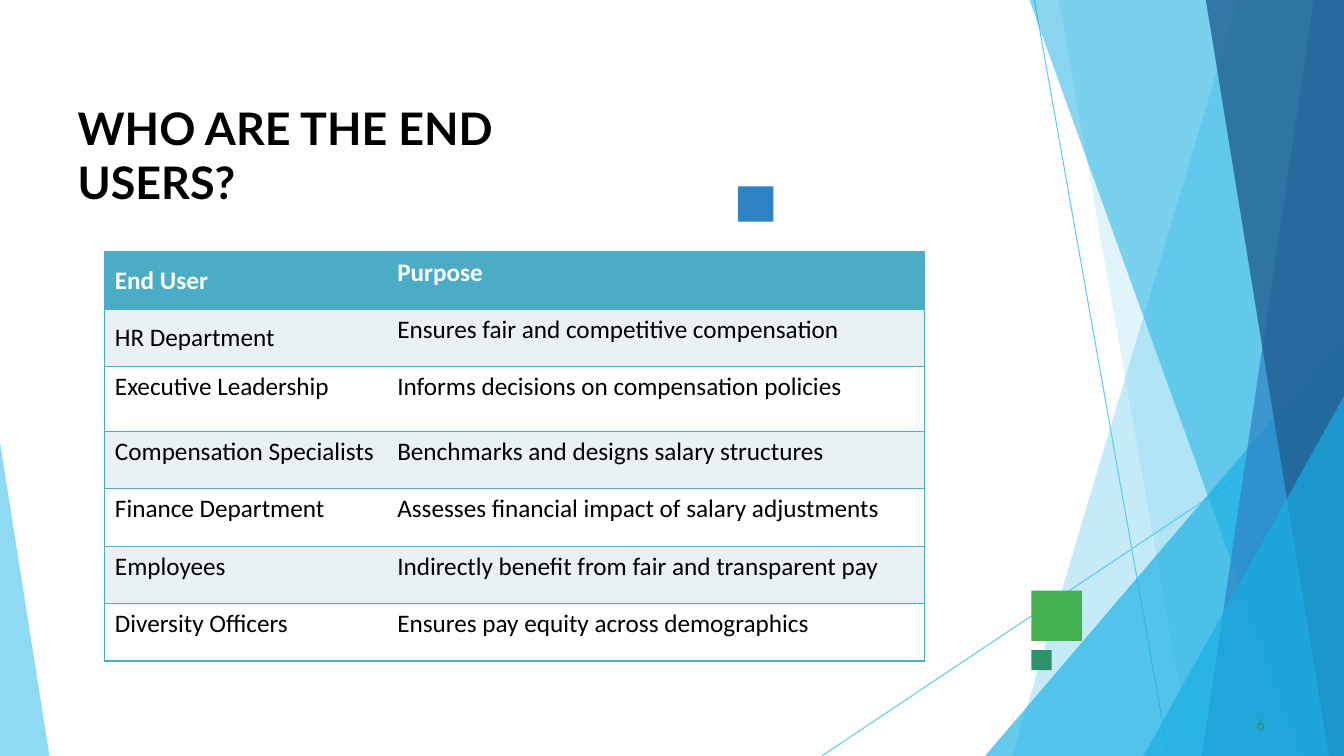
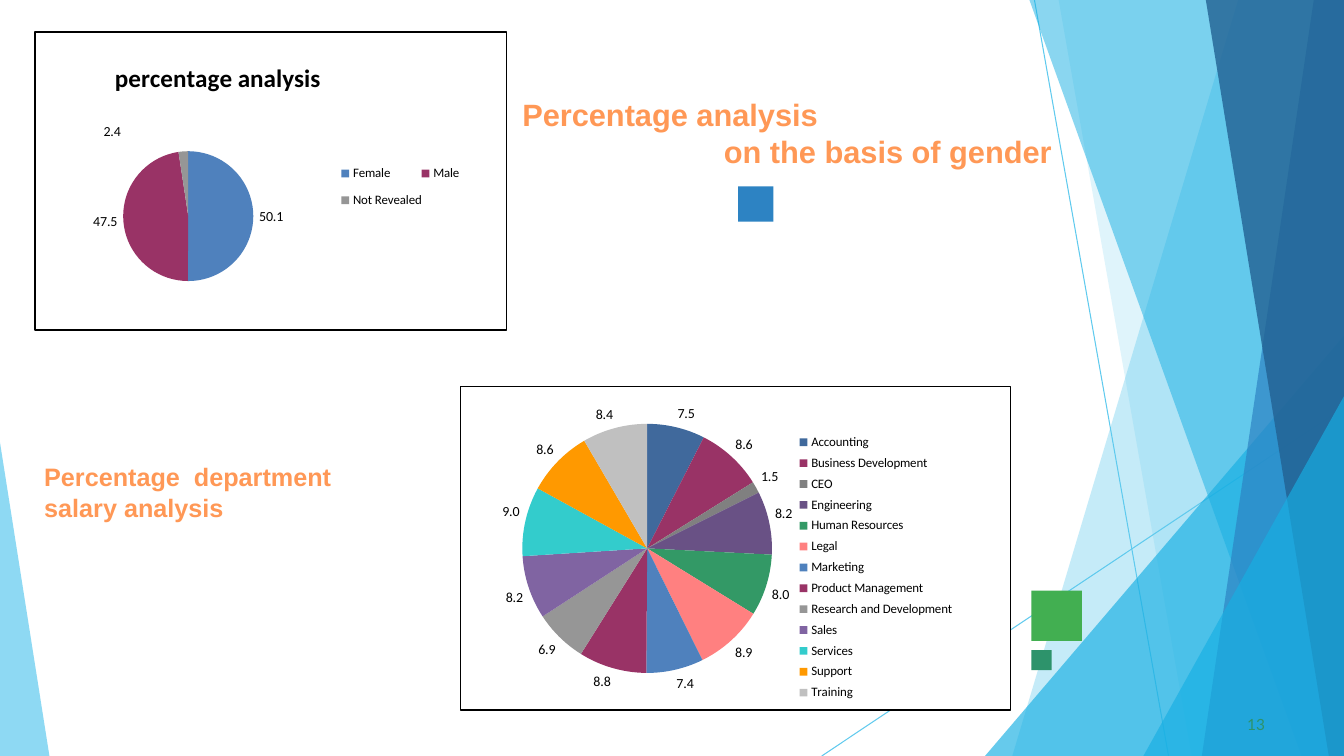
from dataclasses import dataclass
from typing import Optional

from lxml import etree
from pptx import Presentation
from pptx.chart.data import CategoryChartData
from pptx.dml.color import RGBColor
from pptx.enum import chart as ch, shapes, text
from pptx.oxml import parse_xml
from pptx.oxml.ns import nsdecls, qn
from pptx.util import Inches, Pt

WIDTH, HEIGHT = 13.33, 7.5
LATO, ARIAL, CALIBRI = "Lato", "Arial", "Calibri"
NO_STYLE = "{2D5ABB26-0587-4C30-8999-92F81FD0307C}"

BLACK = RGBColor(0x00, 0x00, 0x00)
WHITE = RGBColor(0xFF, 0xFF, 0xFF)
SKY = RGBColor(0x5F, 0xCA, 0xEE)
CYAN = RGBColor(0x17, 0xAF, 0xE3)
BLUE = RGBColor(0x2D, 0x83, 0xC3)
NAVY = RGBColor(0x22, 0x61, 0x92)
GREEN = RGBColor(0x42, 0xAF, 0x51)
SEA = RGBColor(0x2D, 0x93, 0x6B)
ORANGE = RGBColor(0xFF, 0x98, 0x56)
TEAL = RGBColor(0x4B, 0xAC, 0xC6)
BAND = RGBColor(0xE9, 0xF1, 0xF5)
STEEL = RGBColor(0x4F, 0x81, 0xBD)
DARK_STEEL = RGBColor(0x40, 0x69, 0x9C)
PLUM = RGBColor(0x99, 0x33, 0x66)
GREY = RGBColor(0x96, 0x96, 0x96)
DARK_GREY = RGBColor(0x80, 0x80, 0x80)
PURPLE = RGBColor(0x80, 0x64, 0xA2)
DARK_PURPLE = RGBColor(0x69, 0x51, 0x85)
FOREST = RGBColor(0x33, 0x99, 0x66)
CORAL = RGBColor(0xFF, 0x80, 0x80)
TURQUOISE = RGBColor(0x33, 0xCC, 0xCC)
AMBER = RGBColor(0xFF, 0x99, 0x00)
SILVER = RGBColor(0xC0, 0xC0, 0xC0)

Box = tuple[float, float, float, float]
Point = tuple[float, float]


@dataclass(frozen=True)
class Facet:
    color: RGBColor
    opacity: int
    points: tuple[Point, ...]


@dataclass(frozen=True)
class Style:
    font: str
    size: float
    color: RGBColor
    bold: bool = False


@dataclass(frozen=True)
class Slice:
    name: str
    value: float
    color: RGBColor


@dataclass(frozen=True)
class Pie:
    """A pie chart; plot and legend are fractions of the chart area."""
    box: Box
    plot: Box
    legend: Box
    slices: tuple[Slice, ...]
    title: Optional[str] = None
    title_at: Point = (0, 0)


CORNER = (WIDTH, HEIGHT)
TOP_CORNER = (WIDTH, 0)
FACETS = (
    Facet(SKY, 36, (TOP_CORNER, (12.28, 0), (10.04, HEIGHT), CORNER)),
    Facet(SKY, 20, (TOP_CORNER, (10.5, 0), (11.82, HEIGHT), CORNER)),
    Facet(CYAN, 66, ((WIDTH, 3.33), (9.77, HEIGHT), CORNER)),
    Facet(CYAN, 50, (TOP_CORNER, (10.21, 0), (12.91, HEIGHT), CORNER)),
    Facet(BLUE, 70, (TOP_CORNER, (13.03, 0), (11.92, HEIGHT), CORNER)),
    Facet(NAVY, 80, (TOP_CORNER, (11.96, 0), (13.18, HEIGHT), CORNER)),
    Facet(CYAN, 66, ((WIDTH, 3.93), (11.34, HEIGHT), CORNER)),
    Facet(SKY, 70, ((0, 4.39), (0, HEIGHT), (0.49, HEIGHT))),
)
THIN_LINES = (((10.26, 0), (11.59, HEIGHT)), ((WIDTH, 4.04), (8.15, HEIGHT)))
SQUARES = ((10.23, 5.86, 0.5, GREEN), (7.32, 1.85, 0.35, BLUE), (10.23, 6.45, 0.2, SEA))

TITLE = Style(LATO, 32, BLACK, True)
PAGE_NUMBER = Style(LATO, 11, SEA)
CHART_HEADING = Style(ARIAL, 22, ORANGE, True)
SIDE_HEADING = Style(ARIAL, 18, ORANGE, True)

END_USERS = (
    ("End User", "Purpose"),
    ("HR Department", "Ensures fair and competitive compensation"),
    ("Executive Leadership", "Informs decisions on compensation policies"),
    ("Compensation Specialists", "Benchmarks and designs salary structures"),
    ("Finance Department", "Assesses financial impact of salary adjustments"),
    ("Employees", "Indirectly benefit from fair and transparent pay"),
    ("Diversity Officers", "Ensures pay equity across demographics"),
)

GENDER_PIE = Pie(
    (0.34, 0.31, 4.69, 2.97), (0.187, 0.379, 0.276, 0.479), (0.65, 0.41, 0.25, 0.22),
    (Slice("Female", 50.1, STEEL), Slice("Male", 47.5, PLUM),
     Slice("Not Revealed", 2.4, GREY)),
    "percentage analysis", (0.16, 0.08))
DEPARTMENT_PIE = Pie(
    (4.56, 3.83, 5.47, 3.22), (0.108, 0.115, 0.463, 0.771), (0.6, 0.13, 0.31, 0.86),
    (Slice("Accounting", 7.5, DARK_STEEL), Slice("Business Development", 8.6, PLUM),
     Slice("CEO", 1.5, DARK_GREY), Slice("Engineering", 8.2, DARK_PURPLE),
     Slice("Human Resources", 8, FOREST), Slice("Legal", 8.9, CORAL),
     Slice("Marketing", 7.4, STEEL), Slice("Product Management", 8.8, PLUM),
     Slice("Research and Development", 6.9, GREY), Slice("Sales", 8.2, PURPLE),
     Slice("Services", 9, TURQUOISE), Slice("Support", 8.6, AMBER),
     Slice("Training", 8.4, SILVER)))


def paint(sp, color: RGBColor) -> None:
    sp.shadow.inherit = False
    sp.fill.solid()
    sp.fill.fore_color.rgb = color
    sp.line.fill.background()


def add_facet(slide, facet: Facet) -> None:
    points = [(Inches(x), Inches(y)) for x, y in facet.points]
    builder = slide.shapes.build_freeform(*points[0])
    builder.add_line_segments(points[1:], close=True)
    sp = builder.convert_to_shape()
    paint(sp, facet.color)
    clr = sp.element.spPr.find(".//" + qn("a:srgbClr"))
    etree.SubElement(clr, qn("a:alpha")).set("val", str(facet.opacity * 1000))


def add_thin_line(slide, start: Point, end: Point) -> None:
    line = slide.shapes.add_connector(
        shapes.MSO_CONNECTOR.STRAIGHT, *(Inches(v) for v in start + end))
    line.line.color.rgb = SKY
    line.line.width = Pt(0.75)
    etree.SubElement(line.element.spPr, qn("a:effectLst"))


def set_font(font, style: Style) -> None:
    font.name, font.size, font.bold = style.font, Pt(style.size), style.bold
    font.color.rgb = style.color


def add_text(slide, box: Box, style: Style, *lines: str, inset: float = 0,
             indent: float = 0) -> None:
    """Write one paragraph per line; lines after the first are indented."""
    tf = slide.shapes.add_textbox(*(Inches(v) for v in box)).text_frame
    tf.word_wrap = True
    tf.margin_left = tf.margin_right = Inches(inset)
    tf.margin_top = tf.margin_bottom = Inches(inset / 2 or 0.01)
    for i, line in enumerate(lines):
        p = tf.add_paragraph() if i else tf.paragraphs[0]
        p.text = line
        set_font(p.font, style)
        if i and indent:
            p._p.get_or_add_pPr().set("marL", str(Inches(indent)))


def add_base_slide(prs, number: str, number_left: float):
    slide = prs.slides.add_slide(prs.slide_layouts[6])
    for start, end in THIN_LINES:
        add_thin_line(slide, start, end)
    for facet in FACETS:
        add_facet(slide, facet)
    for left, top, side, color in SQUARES:
        sp = slide.shapes.add_shape(
            shapes.MSO_SHAPE.RECTANGLE, *(Inches(v) for v in (left, top, side, side)))
        paint(sp, color)
    add_text(slide, (number_left, 7.08, 0.25, 0.21), PAGE_NUMBER, number)
    return slide


def set_borders(cell, sides: str) -> None:
    """Draw borders on the sides named by the letters L, R, T and B."""
    tc_pr = cell._tc.get_or_add_tcPr()
    for i, side in enumerate(sides):
        tc_pr.insert(i, parse_xml(
            f'<a:ln{side} {nsdecls("a")} w="12700"><a:solidFill>'
            f'<a:srgbClr val="{TEAL}"/></a:solidFill></a:ln{side}>'))


def add_user_table(slide) -> None:
    frame = slide.shapes.add_table(
        len(END_USERS), 2, Inches(1.04), Inches(2.5), Inches(8.13), Inches(4.06))
    frame.element.find(".//" + qn("a:tableStyleId")).text = NO_STYLE
    table = frame.table
    for col, width in zip(table.columns, (2.8, 5.33)):
        col.width = Inches(width)
    for i, row in enumerate(END_USERS):
        table.rows[i].height = Inches(0.64 if i == 2 else 0.57)
        for j, words in enumerate(row):
            cell = table.cell(i, j)
            cell.text = words
            header = i == 0
            set_font(cell.text_frame.paragraphs[0].font,
                     Style(CALIBRI, 18, WHITE if header else BLACK, header))
            if i < 2 and j == 0:
                cell.vertical_anchor = text.MSO_ANCHOR.MIDDLE
            cell.fill.solid()
            cell.fill.fore_color.rgb = TEAL if header else BAND if i % 2 else WHITE
            set_borders(cell, "RTB" if j else "LTB")


def set_layout(parent, index: int, values: tuple[float, ...], inner: bool = False,
               edge: bool = True) -> None:
    """Place a chart part by fractions of the chart: x, y and perhaps w, h."""
    for old in parent.findall(qn("c:layout")):
        parent.remove(old)
    layout = etree.Element(qn("c:layout"))
    manual = etree.SubElement(layout, qn("c:manualLayout"))
    settings = [("layoutTarget", "inner")] if inner else []
    if edge:
        settings += [("xMode", "edge"), ("yMode", "edge")]
    settings += zip("xywh", values)
    for name, value in settings:
        etree.SubElement(manual, qn(f"c:{name}")).set("val", str(value))
    parent.insert(index, layout)


def add_pie(slide, pie: Pie):
    data = CategoryChartData(number_format="0.0")
    data.categories = [s.name for s in pie.slices]
    data.add_series("Series 1", [s.value for s in pie.slices])
    chart = slide.shapes.add_chart(
        ch.XL_CHART_TYPE.PIE, *(Inches(v) for v in pie.box), data).chart
    set_font(chart.font, Style(CALIBRI, 10, BLACK))
    chart.element.find(qn("c:chart")).addnext(parse_xml(
        f'<c:spPr {nsdecls("c", "a")}><a:solidFill><a:srgbClr val="{WHITE}"/></a:solidFill>'
        f'<a:ln w="12700"><a:solidFill><a:srgbClr val="{BLACK}"/></a:solidFill></a:ln></c:spPr>'))

    chart.has_title = pie.title is not None
    if pie.title:
        tf = chart.chart_title.text_frame
        tf.text = pie.title
        set_font(tf.paragraphs[0].font, Style(CALIBRI, 18, BLACK, True))
        set_layout(chart.element.find(".//" + qn("c:title")), 1, pie.title_at)

    chart.has_legend = True
    chart.legend.position = ch.XL_LEGEND_POSITION.RIGHT
    chart.legend.include_in_layout = False
    set_font(chart.legend.font, Style(CALIBRI, 9.2, BLACK))
    set_layout(chart.element.find(".//" + qn("c:legend")), 1, pie.legend)
    set_layout(chart.element.find(".//" + qn("c:plotArea")), 0, pie.plot, inner=True)

    plot = chart.plots[0]
    plot.vary_by_categories = True
    series = plot.series[0]
    for i, part in enumerate(pie.slices):
        fill = series.points[i].format.fill
        fill.solid()
        fill.fore_color.rgb = part.color
    labels = series.data_labels
    labels.show_value = True
    labels.number_format, labels.number_format_is_linked = "0.0", False
    labels.position = ch.XL_LABEL_POSITION.OUTSIDE_END
    set_font(labels.font, Style(CALIBRI, 10, BLACK))
    for leader in chart.element.iter(qn("c:showLeaderLines")):
        leader.set("val", "0")
    return chart


def shift_label(chart, index: int, offset: Point) -> None:
    label = chart.plots[0].series[0].points[index].data_label
    set_font(label.font, Style(CALIBRI, 10, BLACK))
    label.position = ch.XL_LABEL_POSITION.OUTSIDE_END
    set_layout(chart.element.find(".//" + qn("c:dLbl")), 1, offset, edge=False)


def main() -> None:
    prs = Presentation()
    prs.slide_width, prs.slide_height = Inches(WIDTH), Inches(HEIGHT)

    users = add_base_slide(prs, "6", 12.46)
    add_text(users, (0.77, 0.99, 5.48, 1.1), TITLE, "WHO ARE THE END USERS?")
    add_user_table(users)

    analysis = add_base_slide(prs, "13", 12.37)
    add_text(analysis, (5.18, 0.94, 5.78, 0.8), CHART_HEADING,
             "Percentage analysis", "on the basis of gender", indent=2)
    gender = add_pie(analysis, GENDER_PIE)
    shift_label(gender, 2, (-0.15, -0.02))
    add_pie(analysis, DEPARTMENT_PIE)
    add_text(analysis, (0.34, 4.53, 3.67, 0.71), SIDE_HEADING,
             "Percentage  department", "salary analysis", inset=0.1)
    prs.save("out.pptx")


if __name__ == "__main__":
    main()
